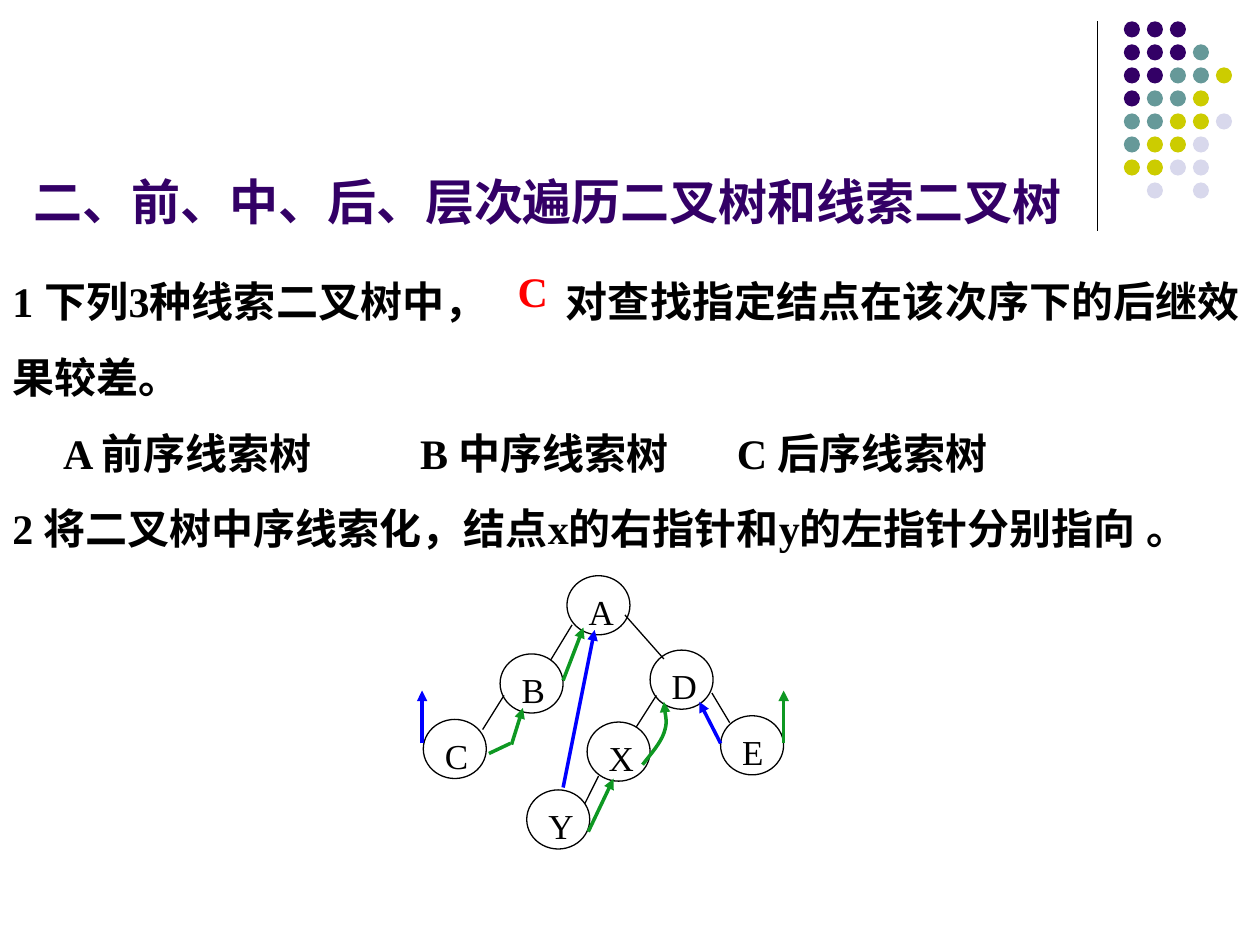
"""Build the slide on traversing binary trees and threaded binary trees."""
from dataclasses import dataclass

from lxml.etree import SubElement
from pptx import Presentation
from pptx.dml.color import RGBColor
from pptx.enum.shapes import MSO_CONNECTOR as Connector
from pptx.enum.shapes import MSO_SHAPE as Preset
from pptx.enum.text import MSO_ANCHOR as Anchor
from pptx.enum.text import PP_ALIGN as Align
from pptx.oxml.ns import qn
from pptx.util import Pt

BLACK = RGBColor(0x00, 0x00, 0x00)
WHITE = RGBColor(0xFF, 0xFF, 0xFF)
RED = RGBColor(0xFF, 0x00, 0x00)
BLUE = RGBColor(0x00, 0x00, 0xFF)
GREEN = RGBColor(0x0E, 0x98, 0x22)
PURPLE = RGBColor(0x33, 0x00, 0x66)
TEAL = RGBColor(0x66, 0x99, 0x99)
YELLOW = RGBColor(0xCC, 0xCC, 0x00)
LAVENDER = RGBColor(0xD8, 0xD8, 0xEC)

FONT = "Times New Roman"
DOT_COLORS = {"P": PURPLE, "T": TEAL, "Y": YELLOW, "L": LAVENDER}
DOT_ROWS = ("PPP", "PPPT", "PPTTY", "PTTY", "TTYYL", "TYYL", "YYLL", " L L")
DOT_LEFT, DOT_TOP, DOT_PITCH, DOT_SIZE = 642.2, 12.2, 13.15, 9.2
NODE_WIDTH, NODE_HEIGHT = 36, 33.8


@dataclass(frozen=True)
class Node:
    label: str
    left: float
    top: float


@dataclass(frozen=True)
class Link:
    start: tuple[float, float]
    end: tuple[float, float]
    color: RGBColor = BLACK
    width: float = 0.75
    arrow: bool = False


@dataclass(frozen=True)
class Line:
    pieces: tuple[str, ...]
    tabs: tuple[float, ...]
    indent: float = 0


def thread(start: tuple[float, float], end: tuple[float, float],
           color: RGBColor, arrow: bool = True) -> Link:
    return Link(start, end, color, 2, arrow)


NODES = (
    Node("A", 324, 329), Node("B", 285.8, 373.7), Node("D", 371.5, 371.5),
    Node("C", 241.9, 411.1), Node("X", 335.5, 412.6),
    Node("Y", 301, 451.4), Node("E", 411.8, 409),
)
BRANCHES = (
    Link((326.9, 357.1), (314.6, 377.3)),
    Link((288, 397.4), (275.8, 416.9)),
    Link((342, 443.5), (334.1, 459.4)),
    Link((357.1, 351.4), (379.4, 376.6)),
    Link((406.8, 396), (417, 413)),
    Link((375.1, 397.4), (363.6, 415.4)),
)
THREADS = (
    thread((321.8, 450), (339.8, 360), BLUE),
    thread((241.2, 424.8), (241.2, 394.6), BLUE),
    thread((279.4, 430.6), (291.6, 424.8), GREEN, arrow=False),
    thread((292.3, 425.5), (298.8, 404.6), GREEN),
    thread((321.8, 388.8), (333.4, 358.6), GREEN),
    thread((336.2, 475.2), (350.6, 445), GREEN),
    thread((411.8, 424.8), (399.6, 401), BLUE),
    thread((447.8, 424.8), (447.8, 394.6), GREEN),
)
CURVED_THREAD = (
    (367.2, 437), (372.2, 430.6), (377.3, 424.8), (379.4, 419),
    (381.6, 412.6), (379.4, 403.9), (379.4, 401),
)
QUESTIONS = (
    Line(("1 下列3种线索二叉树中，", "\t", "对查找指定结点在该次序下的后继效果较差。"), (315,)),
    Line(("A 前序线索树\tB 中序线索树\tC 后序线索树",), (204, 385), 29),
    Line(("2 将二叉树中序线索化，结点x的右指针和y的左指针分别指向", "\t", "。"), (45.4,)),
)


def write_text(paragraph, text: str, *, size: float, color: RGBColor = BLACK,
               bold: bool = False, underline: bool = False) -> None:
    run = paragraph.add_run()
    run.text = text
    run.font.name = FONT
    run.font.size = Pt(size)
    run.font.bold = bold
    run.font.underline = underline
    run.font.color.rgb = color


def add_frame(slide, left: float, top: float, width: float, height: float,
              wrap: bool = True):
    box = slide.shapes.add_textbox(Pt(left), Pt(top), Pt(width), Pt(height))
    box.text_frame.word_wrap = wrap
    return box.text_frame


def add_ellipse(slide, left: float, top: float, width: float, height: float, fill: RGBColor):
    shape = slide.shapes.add_shape(Preset.OVAL, Pt(left), Pt(top), Pt(width), Pt(height))
    shape.shadow.inherit = False
    shape.fill.solid()
    shape.fill.fore_color.rgb = fill
    shape.line.fill.background()
    return shape


def style_line(shape, color: RGBColor, width: float, arrow: bool) -> None:
    shape.line.color.rgb = color
    shape.line.width = Pt(width)
    if arrow:
        SubElement(shape.line._get_or_add_ln(), qn("a:tailEnd"), type="triangle")


def add_link(slide, link: Link) -> None:
    connector = slide.shapes.add_connector(
        Connector.STRAIGHT, *(Pt(value) for value in link.start + link.end))
    style_line(connector, link.color, link.width, link.arrow)
    SubElement(connector._element.spPr, qn("a:effectLst"))


def add_node(slide, node: Node) -> None:
    shape = add_ellipse(slide, node.left, node.top, NODE_WIDTH, NODE_HEIGHT, WHITE)
    style_line(shape, BLACK, 0.75, arrow=False)
    shape.text_frame.vertical_anchor = Anchor.TOP
    paragraph = shape.text_frame.paragraphs[0]
    paragraph.alignment = Align.LEFT
    write_text(paragraph, node.label, size=20)


def add_curve(slide, points: tuple[tuple[float, float], ...]) -> None:
    start, *rest = [(Pt(x), Pt(y)) for x, y in points]
    builder = slide.shapes.build_freeform(*start)
    builder.add_line_segments(rest, close=False)
    shape = builder.convert_to_shape()
    shape.shadow.inherit = False
    shape.fill.background()
    style_line(shape, GREEN, 2, arrow=True)
    outline = shape._element.find(".//" + qn("a:path"))
    segments = outline.findall(qn("a:lnTo"))
    for index, segment in enumerate(segments):
        if index % 3 == 0:
            bezier = SubElement(outline, qn("a:cubicBezTo"))
        bezier.append(segment[0])
        outline.remove(segment)


def add_dots(slide) -> None:
    for row, codes in enumerate(DOT_ROWS):
        for column, code in enumerate(codes):
            if code in DOT_COLORS:
                add_ellipse(slide, DOT_LEFT + column * DOT_PITCH, DOT_TOP + row * DOT_PITCH,
                            DOT_SIZE, DOT_SIZE, DOT_COLORS[code])


def add_questions(slide) -> None:
    frame = add_frame(slide, 0, 139.7, 715.7, 223.2)
    for index, line in enumerate(QUESTIONS):
        paragraph = frame.add_paragraph() if index else frame.paragraphs[0]
        properties = paragraph._p.get_or_add_pPr()
        properties.set("marL", str(Pt(line.indent)))
        tab_list = SubElement(properties, qn("a:tabLst"))
        for position in line.tabs:
            SubElement(tab_list, qn("a:tab"), pos=str(Pt(position)), algn="l")
        paragraph.alignment = Align.JUSTIFY
        paragraph.line_spacing = 1.5
        for piece in line.pieces:
            write_text(paragraph, piece, size=24, bold=True, underline=piece == "\t")


def main() -> None:
    presentation = Presentation()
    presentation.slide_width, presentation.slide_height = Pt(720), Pt(540)
    slide = presentation.slides.add_slide(presentation.slide_layouts[6])
    add_link(slide, Link((627.1, 12.2), (627.1, 131.8)))
    add_dots(slide)
    add_questions(slide)
    for node in NODES:
        add_node(slide, node)
    for link in BRANCHES:
        add_link(slide, link)
    add_curve(slide, CURVED_THREAD)
    for link in THREADS:
        add_link(slide, link)
    title = add_frame(slide, 12.2, 50.4, 624.2, 85)
    title.vertical_anchor = Anchor.BOTTOM
    write_text(title.paragraphs[0], "二、前、中、后、层次遍历二叉树和线索二叉树",
               size=28, color=PURPLE, bold=True)
    answer = add_frame(slide, 288.7, 148.3, 31.7, 36, wrap=False)
    write_text(answer.paragraphs[0], "C", size=24, color=RED, bold=True)
    presentation.save("out.pptx")


if __name__ == "__main__":
    main()
